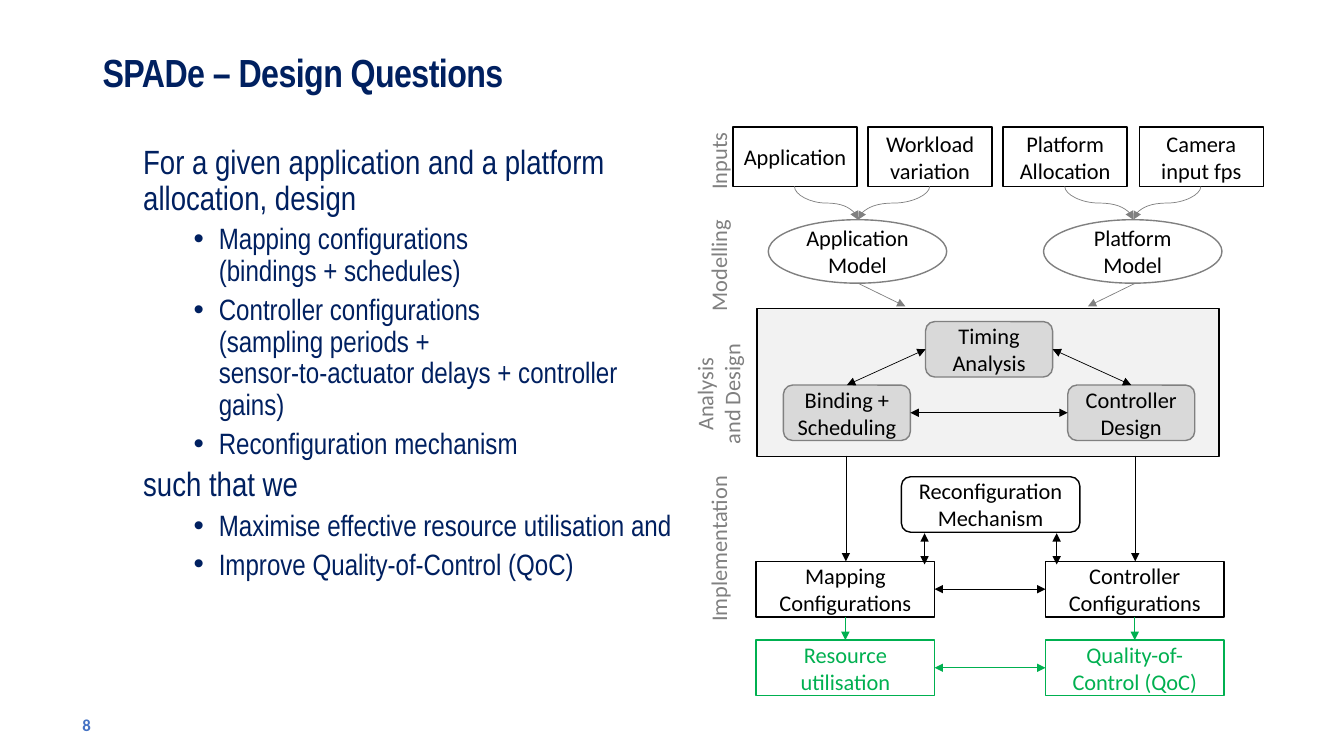
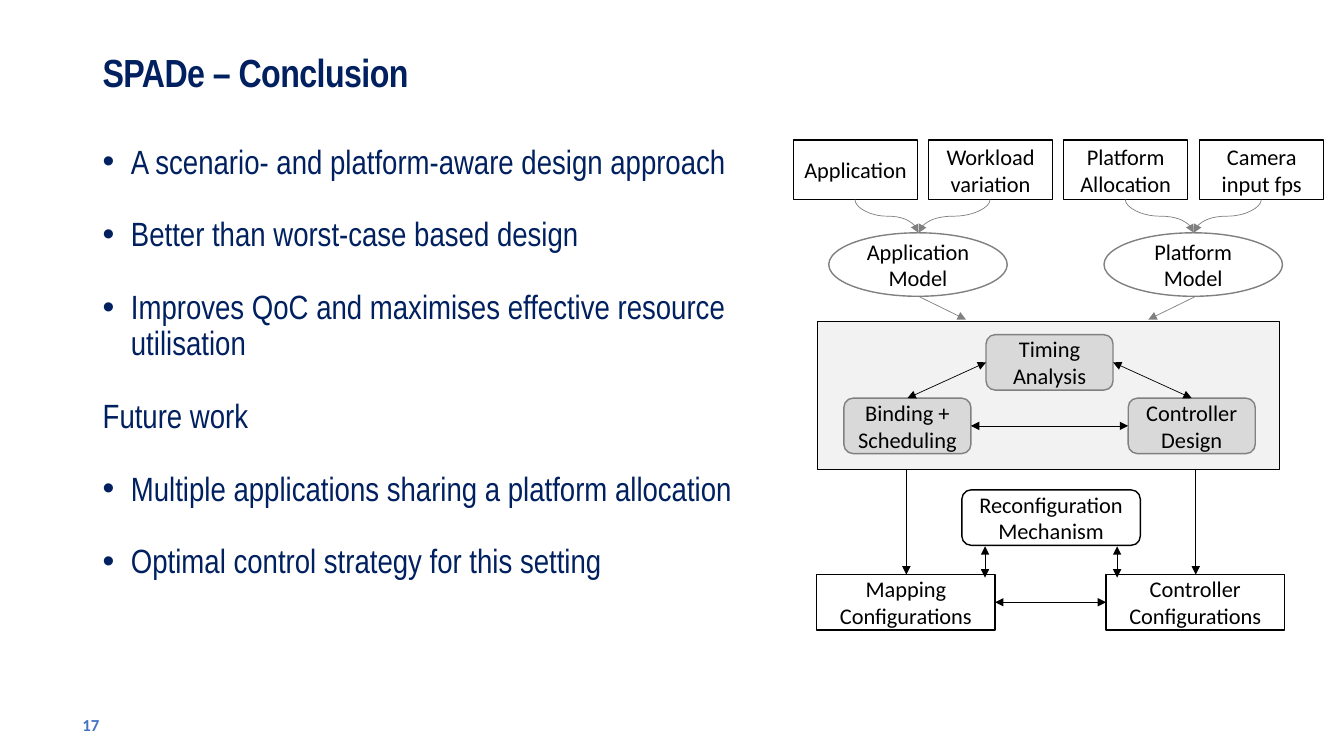
from dataclasses import dataclass

from lxml import etree
from pptx import Presentation
from pptx.dml.color import RGBColor
from pptx.enum.shapes import MSO_CONNECTOR, MSO_SHAPE
from pptx.enum.text import MSO_ANCHOR, PP_ALIGN
from pptx.oxml.ns import qn
from pptx.util import Emu, Pt

EMU_PER_PX = 9144
RECTANGLE, ROUNDED, ELLIPSE = MSO_SHAPE.RECTANGLE, MSO_SHAPE.ROUNDED_RECTANGLE, MSO_SHAPE.OVAL
STRAIGHT, CURVE = MSO_CONNECTOR.STRAIGHT, MSO_CONNECTOR.CURVE
LEFT, CENTER = PP_ALIGN.LEFT, PP_ALIGN.CENTER
TOP, MIDDLE = MSO_ANCHOR.TOP, MSO_ANCHOR.MIDDLE
SITE_TOP, SITE_LEFT, SITE_BOTTOM, SITE_RIGHT = range(4)


@dataclass(frozen=True)
class Theme:
    navy: str = "002060"
    blue: str = "4472C4"
    black: str = "000000"
    white: str = "FFFFFF"
    gray: str = "808080"
    panel: str = "F2F2F2"
    step: str = "D9D9D9"
    green: str = "00B050"
    text_font: str = "Arial Narrow"
    diagram_font: str = "Calibri"
    title_size: int = 28
    body_size: int = 24
    bullet_size: int = 21
    diagram_size: int = 16
    number_size: int = 12
    line_spacing: float = 0.9


THEME = Theme()


def px(value):
    return Emu(round(value * EMU_PER_PX))


def color(value):
    return RGBColor.from_string(value)


def style_font(paragraph, name, size, text_color, bold=False):
    font = paragraph.font
    font.name, font.size, font.bold = name, Pt(size), bold
    font.color.rgb = color(text_color)


def add_text_box(slide, left, top, width, height, anchor=TOP):
    shape = slide.shapes.add_textbox(px(left), px(top), px(width), px(height))
    shape.text_frame.word_wrap = True
    shape.text_frame.vertical_anchor = anchor
    return shape


def add_title(slide, text):
    paragraph = add_text_box(slide, 92, 40, 1150, 69, MIDDLE).text_frame.paragraphs[0]
    run = paragraph.add_run()
    run.text = text
    run._r.get_or_add_rPr().set("spc", "-40")
    paragraph.line_spacing = THEME.line_spacing
    style_font(paragraph, THEME.text_font, THEME.title_size, THEME.navy, True)


def add_slide_number(slide, number):
    paragraph = add_text_box(slide, 72, 699, 300, 40, MIDDLE).text_frame.paragraphs[0]
    paragraph.text = str(number)
    style_font(paragraph, THEME.diagram_font, THEME.number_size, THEME.blue, True)


@dataclass(frozen=True)
class ListStyle:
    margin: int
    hanging: int
    size: int
    space_before: int


QUESTION_LEAD = ListStyle(50, 0, THEME.body_size, 5)
QUESTION_BULLET = ListStyle(125, 25, THEME.bullet_size, 5)
CONCLUSION_LEAD = ListStyle(0, 0, THEME.body_size, 26)
CONCLUSION_BULLET = ListStyle(28, 28, THEME.body_size, 26)


def add_body(slide, width, items, left_inset=10):
    """Fill the text column with (list style, text) items; hanging styles get a bullet."""
    frame = add_text_box(slide, 92, 139, width, 536).text_frame
    frame.margin_left = px(left_inset)
    for index, (style, text) in enumerate(items):
        paragraph = frame.add_paragraph() if index else frame.paragraphs[0]
        paragraph.text = text
        paragraph.line_spacing = THEME.line_spacing
        paragraph.space_before = Pt(style.space_before if index else 0)
        properties = paragraph._p.get_or_add_pPr()
        properties.set("marL", str(px(style.margin)))
        properties.set("indent", str(px(-style.hanging)))
        if style.hanging:
            etree.SubElement(properties, qn("a:buFont")).set("typeface", "Arial")
            etree.SubElement(properties, qn("a:buChar")).set("char", "•")
        style_font(paragraph, THEME.text_font, style.size, THEME.navy)


def style_connector(connector, line_color, both_ends=False):
    connector.line.color.rgb = color(line_color)
    connector.line.width = Pt(0.5)
    properties = connector.element.spPr
    line = properties.find(qn("a:ln"))
    for end in ("a:headEnd", "a:tailEnd") if both_ends else ("a:tailEnd",):
        etree.SubElement(line, qn(end)).set("type", "triangle")
    etree.SubElement(properties, qn("a:effectLst"))


@dataclass(frozen=True)
class Diagram:
    """A drawing area whose coordinates are shifted by dx and dy."""
    slide: object
    dx: int = 0
    dy: int = 0

    def box(self, kind, left, top, width, height, text="",
            fill=THEME.white, line=THEME.black, text_color=THEME.black):
        shape = self.slide.shapes.add_shape(
            kind, px(left + self.dx), px(top + self.dy), px(width), px(height))
        shape.shadow.inherit = False
        shape.fill.solid()
        shape.fill.fore_color.rgb = color(fill)
        shape.line.color.rgb = color(line)
        shape.line.width = Pt(1)
        if text:
            shape.text_frame.word_wrap = True
            shape.text_frame.vertical_anchor = MIDDLE
            paragraph = shape.text_frame.paragraphs[0]
            paragraph.text = text
            paragraph.alignment = CENTER
            style_font(paragraph, THEME.diagram_font, THEME.diagram_size, text_color)
        return shape

    def label(self, left, top, width, height, text, alignment=CENTER):
        """Add a phase name that reads upwards."""
        shape = add_text_box(self.slide, left + self.dx, top + self.dy, width, height)
        shape.rotation = 270
        paragraph = shape.text_frame.paragraphs[0]
        paragraph.text = text
        paragraph.alignment = alignment
        style_font(paragraph, THEME.diagram_font, THEME.diagram_size, THEME.gray)

    def connector(self, kind, x1, y1, x2, y2):
        return self.slide.shapes.add_connector(
            kind, px(x1 + self.dx), px(y1 + self.dy), px(x2 + self.dx), px(y2 + self.dy))

    def arrow(self, x1, y1, x2, y2, line_color=THEME.black, both_ends=False):
        style_connector(self.connector(STRAIGHT, x1, y1, x2, y2), line_color, both_ends)

    def link(self, start, start_site, end, end_site, line_color=THEME.black, both_ends=True):
        """Glue an arrow to the connection sites of two boxes."""
        connector = self.connector(STRAIGHT, 0, 0, 0, 0)
        connector.begin_connect(start, start_site)
        connector.end_connect(end, end_site)
        style_connector(connector, line_color, both_ends)

    def curve(self, x1, y1, x2, y2):
        """Draw an S-curve that leaves and arrives vertically, by turning a horizontal one."""
        center_x, center_y = (x1 + x2) / 2, (y1 + y2) / 2
        across = abs(x2 - x1) / 2
        along = (y2 - y1) / 2 if x2 < x1 else (y1 - y2) / 2
        connector = self.connector(CURVE, center_x - along, center_y - across,
                                   center_x + along, center_y + across)
        degrees = 90 if x2 < x1 else 270
        connector.element.spPr.find(qn("a:xfrm")).set("rot", str(degrees * 60000))
        style_connector(connector, THEME.gray)


def draw_inputs_and_models(diagram):
    inputs = ("Application", "Workload variation", "Platform Allocation", "Camera input fps")
    models = (("Application Model", 762), ("Platform Model", 1035))
    for text, left in models:
        diagram.box(ELLIPSE, left, 218, 177, 63, text, line=THEME.gray)
    for index, text in enumerate(inputs):
        left = 727 + index * 403 // 3
        diagram.box(RECTANGLE, left, 126, 123, 59, text)
        model_left = models[index // 2][1]
        diagram.curve(left + 61, 185, model_left + 89, 218)


def draw_analysis(diagram):
    diagram.box(RECTANGLE, 751, 306, 458, 147, fill=THEME.panel)
    timing, binding, controller = (
        diagram.box(ROUNDED, left, top, 126, 55, text, THEME.step, THEME.gray)
        for left, top, text in ((918, 319, "Timing Analysis"),
                                (777, 382, "Binding + Scheduling"),
                                (1059, 382, "Controller Design")))
    diagram.link(binding, SITE_TOP, timing, SITE_LEFT)
    diagram.link(timing, SITE_RIGHT, controller, SITE_TOP)
    diagram.link(binding, SITE_RIGHT, controller, SITE_LEFT)
    diagram.arrow(851, 281, 898, 304, THEME.gray)
    diagram.arrow(1126, 281, 1079, 304, THEME.gray)


def draw_pair(diagram, top, texts, line_color=THEME.black):
    """Draw two boxes side by side with a two-way arrow between them."""
    left_box, right_box = (
        diagram.box(RECTANGLE, left, top, 177, 55, text, line=line_color, text_color=line_color)
        for left, text in zip((750, 1037), texts))
    diagram.link(left_box, SITE_RIGHT, right_box, SITE_LEFT, line_color)
    return left_box, right_box


def draw_implementation(diagram):
    diagram.box(ROUNDED, 894, 473, 177, 55, "Reconfiguration Mechanism")
    configurations = draw_pair(
        diagram, 557, ("Mapping Configurations", "Controller Configurations"))
    for x in (839, 1126):
        diagram.arrow(x, 452, x, 557)
    for x in (917, 1048):
        diagram.arrow(x, 560, x, 529, both_ends=True)
    return configurations


def draw_flow(diagram):
    """Draw the flow from inputs to configurations and return the configuration boxes."""
    draw_inputs_and_models(diagram)
    draw_analysis(diagram)
    return draw_implementation(diagram)


def draw_results(diagram, configurations):
    results = draw_pair(
        diagram, 635, ("Resource utilisation", "Quality-of-Control (QoC)"), THEME.green)
    for configuration, result in zip(configurations, results):
        diagram.link(configuration, SITE_BOTTOM, result, SITE_TOP, THEME.green, False)


def draw_phase_labels(diagram):
    diagram.label(670, 137, 85, 37, "Inputs", LEFT)
    diagram.label(644, 245, 137, 37, "Modelling")
    diagram.label(650, 359, 125, 64, "Analysis\nand Design")
    diagram.label(618, 526, 189, 37, "Implementation")


def add_slide(presentation, title, number):
    slide = presentation.slides.add_slide(presentation.slide_layouts[6])
    add_title(slide, title)
    add_slide_number(slide, number)
    return slide


def build_questions(presentation):
    slide = add_slide(presentation, "SPADe – Design Questions", 8)
    add_body(slide, 585, (
        (QUESTION_LEAD, "For a given application and a platform allocation, design"),
        (QUESTION_BULLET, "Mapping configurations\n(bindings + schedules)"),
        (QUESTION_BULLET, "Controller configurations\n(sampling periods +\n"
                          "sensor-to-actuator delays + controller gains)"),
        (QUESTION_BULLET, "Reconfiguration mechanism"),
        (QUESTION_LEAD, "such that we"),
        (QUESTION_BULLET, "Maximise effective resource utilisation and"),
        (QUESTION_BULLET, "Improve Quality-of-Control (QoC)"),
    ), left_inset=0)
    diagram = Diagram(slide)
    draw_results(diagram, draw_flow(diagram))
    draw_phase_labels(diagram)


def build_conclusion(presentation):
    slide = add_slide(presentation, "SPADe – Conclusion", 17)
    add_body(slide, 691, (
        (CONCLUSION_BULLET, "A scenario- and platform-aware design approach"),
        (CONCLUSION_BULLET, "Better than worst-case based design"),
        (CONCLUSION_BULLET, "Improves QoC and maximises effective resource utilisation"),
        (CONCLUSION_LEAD, "Future work"),
        (CONCLUSION_BULLET, "Multiple applications sharing a platform allocation"),
        (CONCLUSION_BULLET, "Optimal control strategy for this setting"),
    ))
    draw_flow(Diagram(slide, dx=60, dy=13))


def main():
    presentation = Presentation()
    presentation.slide_width, presentation.slide_height = px(1333), px(750)
    build_questions(presentation)
    build_conclusion(presentation)
    presentation.save("out.pptx")


if __name__ == "__main__":
    main()
